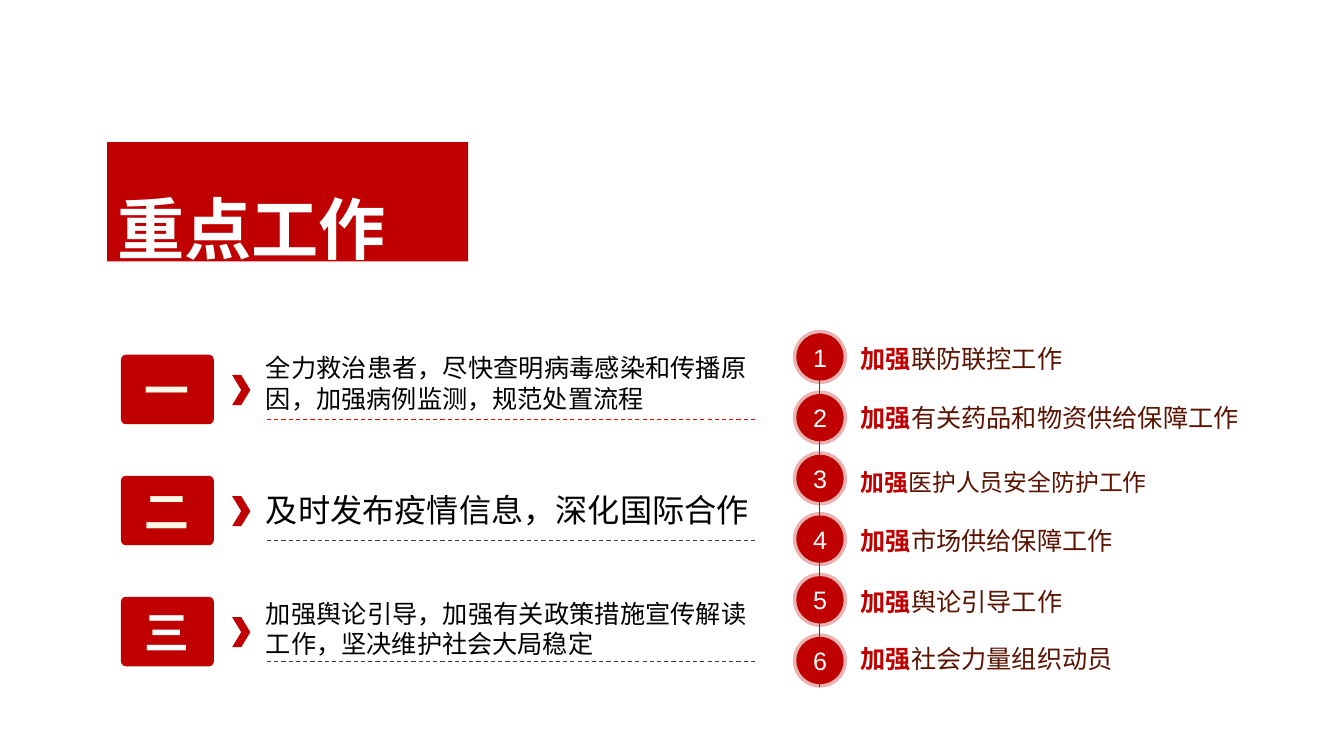
from lxml import etree
from pptx import Presentation
from pptx.dml.color import RGBColor
from pptx.enum.dml import MSO_LINE
from pptx.enum.shapes import MSO_CONNECTOR, MSO_SHAPE
from pptx.enum.text import MSO_ANCHOR, PP_ALIGN
from pptx.oxml.ns import qn
from pptx.util import Cm, Pt

RECTANGLE = MSO_SHAPE.RECTANGLE
ROUNDED = MSO_SHAPE.ROUNDED_RECTANGLE
CHEVRON = MSO_SHAPE.CHEVRON
STRAIGHT = MSO_CONNECTOR.STRAIGHT
DASH = MSO_LINE.DASH
TOP, MIDDLE = MSO_ANCHOR.TOP, MSO_ANCHOR.MIDDLE
CENTER, JUSTIFY, LEFT = PP_ALIGN.CENTER, PP_ALIGN.JUSTIFY, PP_ALIGN.LEFT

FONT = "Arial"
CRIMSON = RGBColor(0xC0, 0x00, 0x00)
RED = RGBColor(0xFF, 0x00, 0x00)
GRAY = RGBColor(0x40, 0x40, 0x40)
BROWN = RGBColor(0x59, 0x13, 0x00)
BLACK = RGBColor(0x00, 0x00, 0x00)
WHITE = RGBColor(0xFF, 0xFF, 0xFF)
CREAM = RGBColor(0xFF, 0xF8, 0xE6)
OFF_WHITE = RGBColor(0xFC, 0xFC, 0xFC)

TASK_PITCH = 3.05
STEP_PITCH = 1.53

# text, size, alignment, text offset, numeral, numeral colour, rule colour
TASKS = [
    ("一", CREAM, "全力救治患者，尽快查明病毒感染和传播原因，加强病例监测，规范处置流程",
     18, JUSTIFY, 12.62, -0.18, RED),
    ("二", CREAM, "及时发布疫情信息，深化国际合作", 23, LEFT, 13.44, 0.23, GRAY),
    ("三", WHITE, "加强舆论引导，加强有关政策措施宣传解读工作，坚决维护社会大局稳定",
     18, JUSTIFY, 12.62, -0.1, GRAY),
]
STEPS = [
    ("联防联控工作", 18, 0.05),
    ("有关药品和物资供给保障工作", 18, 0),
    ("医护人员安全防护工作", 17, 0.13),
    ("市场供给保障工作", 18, 0.05),
    ("舆论引导工作", 18, 0.05),
    ("社会力量组织动员", 18, -0.05),
]


def write(shape, runs, size, align, anchor=TOP, spacing=None):
    frame = shape.text_frame
    frame.word_wrap = True
    frame.vertical_anchor = anchor
    paragraph = frame.paragraphs[0]
    paragraph.alignment = align
    if spacing:
        paragraph.line_spacing = spacing
    for text, color, bold in runs:
        run = paragraph.add_run()
        run.text = text
        run.font.name = FONT
        run.font.size = Pt(size)
        run.font.bold = bold
        run.font.color.rgb = color


def add_block(slide, kind, left, top, width, height):
    shape = slide.shapes.add_shape(kind, Cm(left), Cm(top), Cm(width), Cm(height))
    shape.shadow.inherit = False
    shape.fill.solid()
    shape.fill.fore_color.rgb = CRIMSON
    shape.line.fill.background()
    return shape


def add_text(slide, left, top, width, height):
    return slide.shapes.add_textbox(Cm(left), Cm(top), Cm(width), Cm(height))


def add_rule(slide, start, end, color, width):
    rule = slide.shapes.add_connector(
        STRAIGHT, Cm(start[0]), Cm(start[1]), Cm(end[0]), Cm(end[1]))
    rule.line.color.rgb = color
    rule.line.width = Pt(width)
    etree.SubElement(rule._element.spPr, qn("a:effectLst"))
    return rule


def add_title(slide, left, top, width, height):
    banner = add_block(slide, RECTANGLE, left, top, width, height)
    write(banner, [("重点工作", WHITE, True)], 48, JUSTIFY, spacing=1.5)


def add_task(slide, left, top, task):
    numeral, numeral_color, text, size, align, width, offset, rule_color = task
    badge = add_block(slide, ROUNDED, left, top, 2.34, 1.75)
    badge.adjustments[0] = 0.07
    write(badge, [(numeral, numeral_color, True)], 32, CENTER, MIDDLE)
    add_block(slide, CHEVRON, left + 2.8, top + 0.51, 0.46, 0.76)
    description = add_text(slide, left + 3.4, top + offset, width, 1.8)
    write(description, [(text, BLACK, False)], size, align)
    rule_top = top + 1.63
    rule = add_rule(slide, (left + 3.68, rule_top), (left + 15.98, rule_top),
                    rule_color, 0.75)
    rule.line.dash_style = DASH


def add_step(slide, left, top, number, step):
    text, size, offset = step
    circle = add_block(slide, ROUNDED, left, top, 1.19, 1.19)
    circle.adjustments[0] = 0.5
    circle.line.color.rgb = CRIMSON
    circle.line.width = Pt(5)
    line_color = circle.line._ln.find(".//" + qn("a:srgbClr"))
    etree.SubElement(line_color, qn("a:alpha"), val="30000")
    write(circle, [(str(number), OFF_WHITE, False)], 18, CENTER, MIDDLE)
    label = add_text(slide, left + 1.37, top + offset, 10.4, 1.07)
    write(label, [("加强", CRIMSON, True), (text, BROWN, False)],
          size, JUSTIFY, spacing=1.1)


def add_tasks(slide, left, top):
    for index, task in enumerate(TASKS):
        add_task(slide, left, top + index * TASK_PITCH, task)


def add_steps(slide, left, top):
    center = left + 0.58
    add_rule(slide, (center, top), (center, top + 8.92), GRAY, 0.5)
    for index, step in enumerate(STEPS):
        add_step(slide, left, top + index * STEP_PITCH, index + 1, step)


def main():
    presentation = Presentation()
    presentation.slide_width = Cm(33.87)
    presentation.slide_height = Cm(19.05)
    slide = presentation.slides.add_slide(presentation.slide_layouts[6])
    add_title(slide, 2.7, 3.58, 9.1, 3.01)
    add_tasks(slide, 3.05, 8.94)
    add_steps(slide, 20.07, 8.4)
    presentation.save("out.pptx")


if __name__ == "__main__":
    main()
